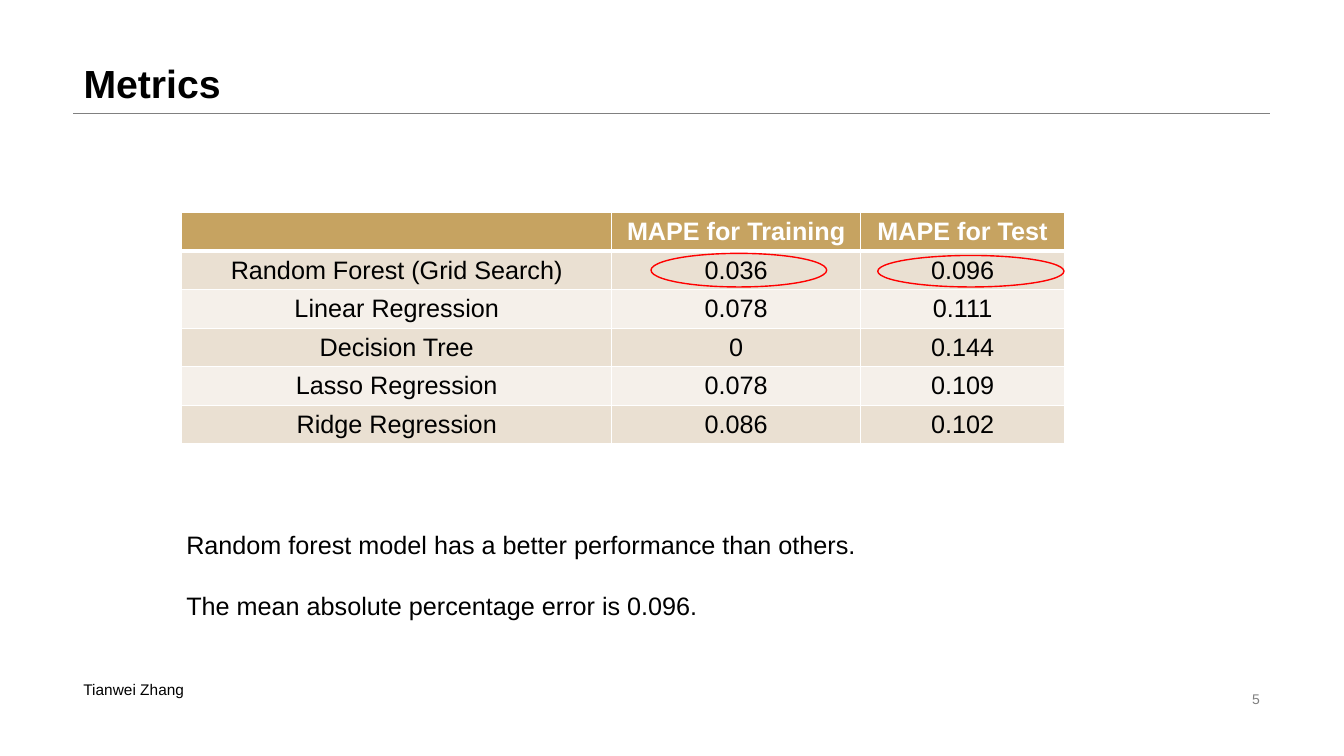
import dataclasses

import lxml.etree
import pptx
import pptx.dml.color
import pptx.enum.shapes
import pptx.enum.text
import pptx.oxml
import pptx.oxml.ns
import pptx.util

Pt = pptx.util.Pt
ALIGN = pptx.enum.text.PP_ALIGN
ANCHOR = pptx.enum.text.MSO_ANCHOR
FONT = "Arial"
COLORS = {
    "black": "000000",
    "white": "FFFFFF",
    "gray": "808080",
    "gold": "C6A361",
    "band_dark": "EAE0D2",
    "band_light": "F5F0EA",
    "red": "FF0000",
}
METRICS = [
    ("", "MAPE for Training", "MAPE for Test"),
    ("Random Forest (Grid Search)", "0.036", "0.096"),
    ("Linear Regression", "0.078", "0.111"),
    ("Decision Tree", "0", "0.144"),
    ("Lasso Regression", "0.078", "0.109"),
    ("Ridge Regression", "0.086", "0.102"),
]
COLUMN_WIDTHS = (307.2, 177.8, 145.6)
ROW_HEIGHT = 27.5


@dataclasses.dataclass(frozen=True)
class Box:
    left: float
    top: float
    width: float
    height: float

    def lengths(self) -> tuple:
        return Pt(self.left), Pt(self.top), Pt(self.width), Pt(self.height)


@dataclasses.dataclass(frozen=True)
class Label:
    box: Box
    lines: tuple
    size: float
    color: str = "black"
    align: ALIGN = ALIGN.LEFT
    anchor: ANCHOR = ANCHOR.TOP
    gap: float = 0


TITLE_BOX = Box(52.5, -0.5, 854.5, 80.5)
TABLE_BOX = Box(129.8, 152, sum(COLUMN_WIDTHS), ROW_HEIGHT * len(METRICS))
HIGHLIGHTS = (Box(465, 181, 125.5, 24), Box(627, 182.5, 133, 22.5))
LABELS = (
    Label(Box(678, 491, 229, 16.5), ("5",), 10, "gray", ALIGN.RIGHT, ANCHOR.MIDDLE),
    Label(Box(52.5, 482.5, 147, 20.5), ("Tianwei Zhang",), 11),
    Label(
        Box(126, 374.5, 786, 72.5),
        (
            "Random forest model has a better performance than others.",
            "The mean absolute percentage error is 0.096.",
        ),
        18,
        gap=22,
    ),
)


def rgb(name: str) -> pptx.dml.color.RGBColor:
    return pptx.dml.color.RGBColor.from_string(COLORS[name])


def style_paragraph(p, size: float, color: str, bold: bool, align: ALIGN) -> None:
    p.alignment = align
    p.font.name = FONT
    p.font.size = Pt(size)
    p.font.bold = bold
    p.font.color.rgb = rgb(color)


def add_title(s, text: str) -> None:
    sp = s.shapes.title
    sp.left, sp.top, sp.width, sp.height = TITLE_BOX.lengths()
    tf = sp.text_frame
    tf.text = text
    tf.vertical_anchor = ANCHOR.BOTTOM
    p = tf.paragraphs[0]
    style_paragraph(p, 28, "black", True, ALIGN.LEFT)
    p.line_spacing = 0.9


def add_rule(s) -> None:
    y = Pt(80.8)
    line = s.shapes.add_connector(
        pptx.enum.shapes.MSO_CONNECTOR.STRAIGHT, Pt(52.5), y, Pt(907), y
    )
    line.line.color.rgb = rgb("gray")
    line.line.width = Pt(0.25)
    lxml.etree.SubElement(line._element.spPr, pptx.oxml.ns.qn("a:effectLst"))


def add_label(s, label: Label) -> None:
    tf = s.shapes.add_textbox(*label.box.lengths()).text_frame
    tf.word_wrap = True
    tf.vertical_anchor = label.anchor
    for i, line in enumerate(label.lines):
        p = tf.add_paragraph() if i else tf.paragraphs[0]
        p.text = line
        style_paragraph(p, label.size, label.color, False, label.align)
        if i:
            p.space_before = Pt(label.gap)


def set_borders(cell, bottom: float) -> None:
    """Draw white borders, 1 pt wide except for the given bottom width."""
    tc_pr = cell._tc.get_or_add_tcPr()
    widths = {"lnL": 1, "lnR": 1, "lnT": 1, "lnB": bottom}
    for i, (side, width) in enumerate(widths.items()):
        border = pptx.oxml.parse_xml(
            f'<a:{side} {pptx.oxml.ns.nsdecls("a")} w="{Pt(width)}"><a:solidFill>'
            f'<a:srgbClr val="{COLORS["white"]}"/></a:solidFill></a:{side}>'
        )
        tc_pr.insert(i, border)


def add_metrics_table(s) -> None:
    table = s.shapes.add_table(
        len(METRICS), len(COLUMN_WIDTHS), *TABLE_BOX.lengths()
    ).table
    for column, width in zip(table.columns, COLUMN_WIDTHS):
        column.width = Pt(width)
    for i, values in enumerate(METRICS):
        header = i == 0
        band = "band_dark" if i % 2 else "band_light"
        table.rows[i].height = Pt(ROW_HEIGHT)
        for j, value in enumerate(values):
            cell = table.cell(i, j)
            cell.text = value
            cell.margin_top = cell.margin_bottom = Pt(3)
            cell.vertical_anchor = ANCHOR.MIDDLE
            cell.fill.solid()
            cell.fill.fore_color.rgb = rgb("gold" if header else band)
            style_paragraph(
                cell.text_frame.paragraphs[0], 18,
                "white" if header else "black", header, ALIGN.CENTER,
            )
            set_borders(cell, 3 if header else 1)


def add_highlight(s, box: Box) -> None:
    sp = s.shapes.add_shape(pptx.enum.shapes.MSO_SHAPE.OVAL, *box.lengths())
    sp.shadow.inherit = False
    sp.fill.background()
    sp.line.color.rgb = rgb("red")
    sp.line.width = Pt(1)


def main() -> None:
    prs = pptx.Presentation()
    prs.slide_width, prs.slide_height = Pt(960), Pt(540)
    s = prs.slides.add_slide(prs.slide_layouts.get_by_name("Title Only"))
    add_rule(s)
    add_title(s, "Metrics")
    add_metrics_table(s)
    for box in HIGHLIGHTS:
        add_highlight(s, box)
    for label in LABELS:
        add_label(s, label)
    prs.save("out.pptx")


if __name__ == "__main__":
    main()
